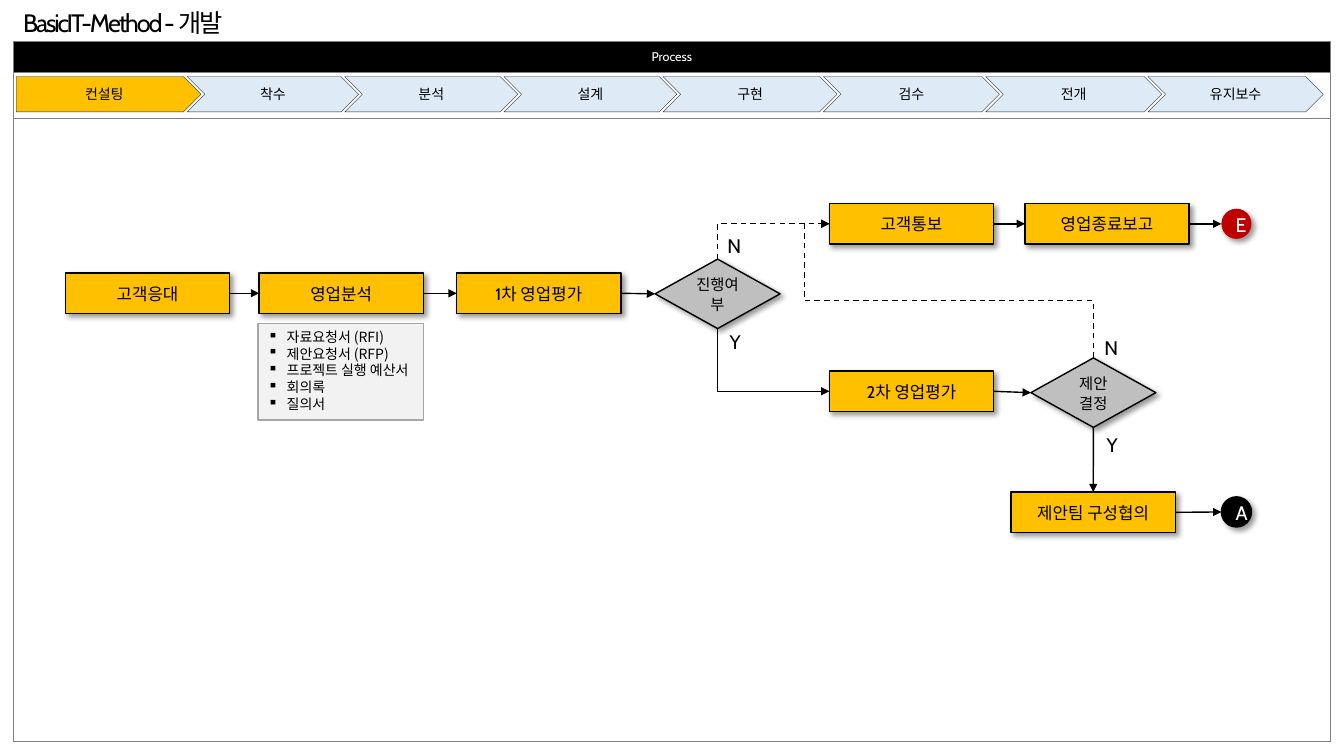
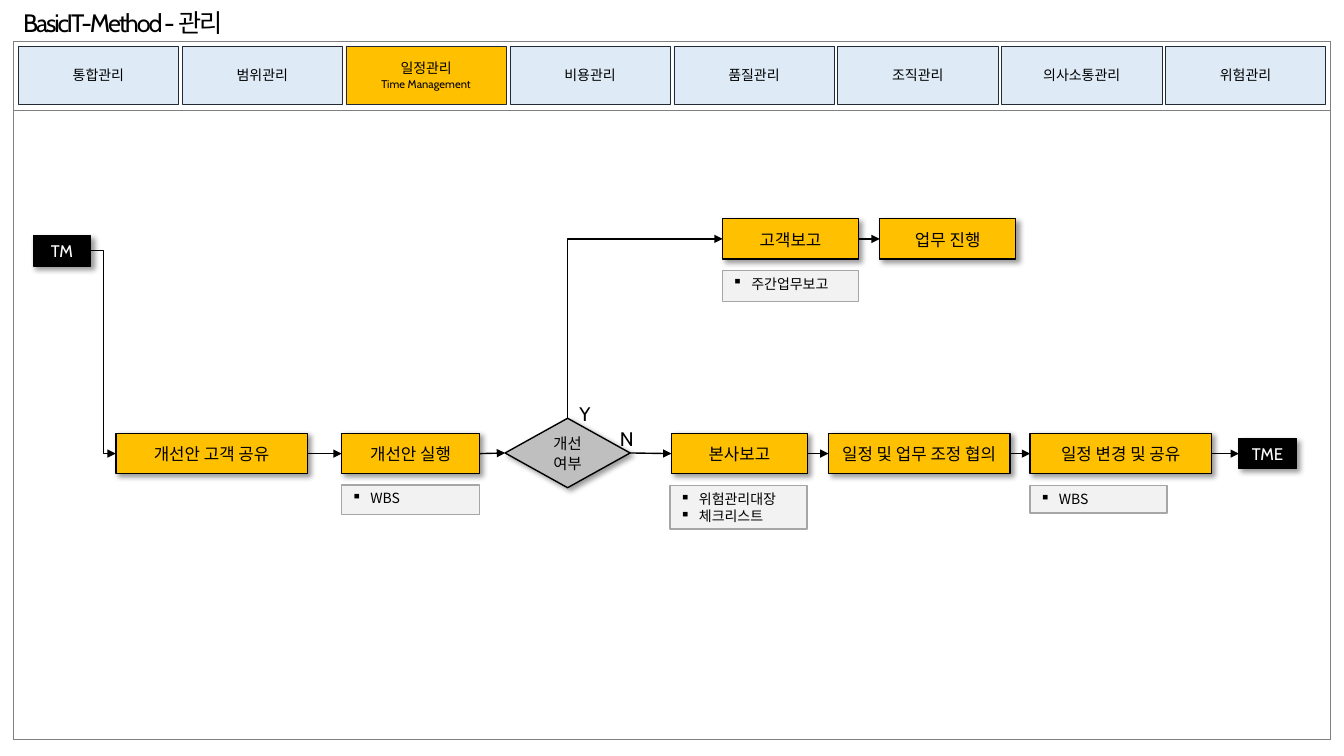
from lxml.etree import SubElement
from pptx import Presentation
from pptx.dml.color import RGBColor
from pptx.enum.dml import MSO_LINE
from pptx.enum.shapes import MSO_CONNECTOR, MSO_SHAPE
from pptx.enum.text import MSO_ANCHOR, MSO_AUTO_SIZE, PP_ALIGN
from pptx.oxml import parse_xml
from pptx.oxml.ns import nsdecls, qn
from pptx.util import Cm, Pt

BLACK = RGBColor(0x00, 0x00, 0x00)
WHITE = RGBColor(0xFF, 0xFF, 0xFF)
GOLD = RGBColor(0xFF, 0xC0, 0x00)
BLUE = RGBColor(0xDE, 0xEB, 0xF7)
NAVY = RGBColor(0x22, 0x2A, 0x35)
SILVER = RGBColor(0xBF, 0xBF, 0xBF)
PALE = RGBColor(0xF2, 0xF2, 0xF2)
GRAY = RGBColor(0xA6, 0xA6, 0xA6)
RED = RGBColor(0xC0, 0x00, 0x00)

RECT, DIAMOND, OVAL = MSO_SHAPE.RECTANGLE, MSO_SHAPE.DIAMOND, MSO_SHAPE.OVAL
PLATE, CHEVRON = MSO_SHAPE.PENTAGON, MSO_SHAPE.CHEVRON
STRAIGHT, ELBOW = MSO_CONNECTOR.STRAIGHT, MSO_CONNECTOR.ELBOW
DASH = MSO_LINE.DASH
LEFT, CENTER = PP_ALIGN.LEFT, PP_ALIGN.CENTER
TOP, MIDDLE = MSO_ANCHOR.TOP, MSO_ANCHOR.MIDDLE
UP, WEST, DOWN, EAST = range(4)
LATIN, HANGUL = "Cabin", "Noto Sans CJK KR"


class Deck:
    """Holds the shared style and the slide being built."""

    def __init__(self):
        self.file = Presentation()
        self.file.slide_width, self.file.slide_height = Cm(33.87), Cm(19.05)

    def start(self, title, rows):
        self.slide = self.file.slides.add_slide(self.file.slide_layouts[5])
        self.shapes = self.slide.shapes
        self.frame(rows)
        head = self.shapes.title
        head.left, head.top, head.width, head.height = Cm(0.33), Cm(0.05), Cm(5.77), Cm(1.02)
        text = head.text_frame
        text.text = title
        text.word_wrap, text.auto_size = False, MSO_AUTO_SIZE.NONE
        self.style(text, 18, BLACK, LEFT)
        for run in text.paragraphs[0].runs:
            run._r.get_or_add_rPr().set("spc", "-150")

    def style(self, text, size, color, align=CENTER, anchor=MIDDLE, font=LATIN):
        text.vertical_anchor = anchor
        for para in text.paragraphs:
            para.alignment = align
            para.line_spacing = Pt(round(size * 1.25))
            for run in para.runs:
                run.font.name, run.font.size = font, Pt(size)
                run.font.color.rgb = color
                SubElement(run._r.get_or_add_rPr(), qn("a:ea"), typeface=HANGUL)

    def frame(self, rows):
        grid = self.shapes.add_table(
            len(rows), 1, Cm(0.33), Cm(1.04), Cm(33.2), Cm(sum(rows))).table
        grid.first_row = grid.horz_banding = False
        for row, height in zip(grid.rows, rows):
            row.height = Cm(height)
            cell = row.cells[0]
            cell.fill.background()
            props = cell._tc.get_or_add_tcPr()
            for spot, side in enumerate("LRTB"):
                props.insert(spot, parse_xml(
                    f'<a:ln{side} {nsdecls("a")} w="6350"><a:solidFill>'
                    f'<a:srgbClr val="808080"/></a:solidFill></a:ln{side}>'))
        return grid

    def band(self, text):
        grid = next(item.table for item in self.shapes if item.has_table)
        cell = grid.cell(0, 0)
        cell.fill.solid()
        cell.fill.fore_color.rgb = BLACK
        cell.text_frame.text = text
        cell.vertical_anchor = MIDDLE
        para = cell.text_frame.paragraphs[0]
        para.alignment = CENTER
        font = para.runs[0].font
        font.name, font.size, font.color.rgb = LATIN, Pt(9), WHITE

    def block(self, kind, text, x, y, w, h, fill, size, ink=BLACK, edge=BLACK, weight=1, shade=True):
        item = self.shapes.add_shape(kind, Cm(x), Cm(y), Cm(w), Cm(h))
        item.fill.solid()
        item.fill.fore_color.rgb = fill
        if edge is None:
            item.line.fill.background()
        else:
            item.line.color.rgb, item.line.width = edge, Pt(weight)
        item.shadow.inherit = False
        if shade:
            glow = SubElement(item._element.spPr.find(qn("a:effectLst")), qn("a:outerShdw"),
                              blurRad="50800", dist="38100", dir="2700000", algn="tl", rotWithShape="0")
            tint = SubElement(glow, qn("a:srgbClr"), val="000000")
            SubElement(tint, qn("a:alpha"), val="40000")
        item.text_frame.text = text
        self.style(item.text_frame, size, ink)
        return item

    def step(self, text, x, y, w=4.14):
        return self.block(RECT, text, x, y, w, 1.02, GOLD, 12)

    def choice(self, text, x, y):
        return self.block(DIAMOND, text, x, y, 3.15, 1.75, SILVER, 11)

    def dot(self, text, x, y, fill, edge):
        return self.block(OVAL, text, x, y, 0.76, 0.76, fill, 14, WHITE, edge)

    def port(self, text, x, y):
        return self.block(RECT, text, x, y, 1.45, 0.76, BLACK, 12, WHITE)

    def tab(self, kind, text, x, y, w, h, live):
        return self.block(kind, text, x, y, w, h, GOLD if live else BLUE, 10,
                          edge=NAVY, weight=0.25, shade=False)

    def notes(self, lines, x, y, w, h):
        item = self.block(RECT, "\n".join(lines), x, y, w, h, PALE, 10, edge=GRAY, shade=False)
        for para in item.text_frame.paragraphs:
            props = para._p.get_or_add_pPr()
            props.set("marL", "171450")
            props.set("indent", "-171450")
            SubElement(props, qn("a:buChar"), char="▪")
        self.style(item.text_frame, 10, BLACK, LEFT, TOP, HANGUL)

    def label(self, text, x, y):
        box = self.shapes.add_textbox(Cm(x), Cm(y), Cm(0.85), Cm(0.86)).text_frame
        box.text = text
        box.word_wrap = False
        self.style(box, 14, BLACK, LEFT, TOP)

    def site(self, item, side):
        across = {WEST: 0, EAST: item.width}.get(side, item.width // 2)
        along = {UP: 0, DOWN: item.height}.get(side, item.height // 2)
        return item.left + across, item.top + along

    def join(self, first, out, last, into, dash=False, kind=STRAIGHT):
        line = self.shapes.add_connector(kind, *self.site(first, out), *self.site(last, into))
        line.begin_connect(first, out)
        if last.auto_shape_type != OVAL:
            line.end_connect(last, into)
        line.line.color.rgb, line.line.width = BLACK, Pt(1)
        if dash:
            line.line.dash_style = DASH
        props = line._element.spPr
        SubElement(props.find(qn("a:ln")), qn("a:tailEnd"), type="triangle")
        SubElement(props, qn("a:effectLst"))
        return line

    def chain(self, *items):
        for first, last in zip(items, items[1:]):
            self.join(first, EAST, last, WEST)

    def turn(self, first, out, last, into, angle, flips, dash=False, bends=()):
        line = self.join(first, out, last, into, dash, ELBOW)
        (x1, y1), (x2, y2) = self.site(first, out), self.site(last, into)
        wide, high = abs(y2 - y1), abs(x2 - x1)
        props = line._element.spPr
        form = props.find(qn("a:xfrm"))
        for flip in ("flipH", "flipV"):
            form.set(flip, "1" if flip in flips else "0")
        form.set("rot", str(angle * 60000))
        line.left, line.top = (x1 + x2 - wide) // 2, (y1 + y2 - high) // 2
        line.width, line.height = wide, high
        shape = props.find(qn("a:prstGeom"))
        shape.set("prst", f"bentConnector{len(bends) + 2}")
        guides = shape.find(qn("a:avLst"))
        if guides is None:
            guides = SubElement(shape, qn("a:avLst"))
        for rank, bend in enumerate(bends, 1):
            SubElement(guides, qn("a:gd"), name=f"adj{rank}", fmla=f"val {bend}")


def build(deck):
    deck.start("BasicIT-Method - 개발", (0.79, 1.14, 15.7))
    deck.band("Process")
    phases = ("컨설팅", "착수", "분석", "설계", "구현", "검수", "전개", "유지보수")
    edges = (0.41, 4.72, 8.69, 12.7, 16.71, 20.75, 24.84, 28.93, 33)
    for rank, name in enumerate(phases):
        deck.tab(CHEVRON if rank else PLATE, name, edges[rank], 1.93,
                 edges[rank + 1] - edges[rank] + 0.35, 0.89, rank == 0)
    meet = deck.step("고객응대", 1.65, 6.88)
    study = deck.step("영업분석", 6.53, 6.88)
    rate = deck.step("1차 영업평가", 11.51, 6.88)
    go = deck.choice("진행여부", 16.51, 6.53)
    tell = deck.step("고객통보", 20.9, 5.13)
    close = deck.step("영업종료보고", 25.83, 5.13)
    end = deck.dot("E", 30.78, 5.26, RED, None)
    again = deck.step("2차 영업평가", 20.9, 9.35)
    offer = deck.choice("제안 결정", 25.98, 9.02)
    team = deck.step("제안팀 구성협의", 25.48, 12.4)
    next_dot = deck.dot("A", 30.78, 12.52, BLACK, BLACK)
    deck.chain(meet, study, rate, go)
    deck.chain(tell, close, end)
    deck.chain(again, offer)
    deck.chain(team, next_dot)
    deck.join(offer, DOWN, team, UP)
    deck.turn(go, UP, tell, WEST, 90, ("flipH", "flipV"), True)
    deck.turn(go, DOWN, again, WEST, 270, ("flipH",))
    deck.turn(offer, UP, tell, WEST, 270, ("flipV",), True, (42600, 109500))
    for text, x, y in (("Y", 18.14, 8.15), ("N", 18.08, 5.72), ("Y", 27.64, 10.74), ("N", 27.58, 8.31)):
        deck.label(text, x, y)
    deck.notes(("자료요청서 (RFI)", "제안요청서 (RFP)", "프로젝트 실행 예산서", "회의록", "질의서"),
               6.5, 8.15, 4.17, 2.44)

    deck.start("BasicIT-Method - 관리", (1.75, 15.85))
    fields = ("통합관리", "범위관리", "일정관리\nTime Management", "비용관리",
              "품질관리", "조직관리", "의사소통관리", "위험관리")
    for rank, name in enumerate(fields):
        tab = deck.tab(RECT, name, 0.46 + 4.13 * rank, 1.17, 4.04, 1.45, rank == 2)
        for para in tab.text_frame.paragraphs[1:]:
            para.line_spacing = Pt(10)
            para.runs[0].font.size = Pt(8)
    row = 10.92
    share = deck.step("개선안 고객 공유", 2.92, row, 4.83)
    act = deck.step("개선안 실행", 8.61, row, 3.48)
    check = deck.choice("개선\n여부", 12.73, 10.54)
    report = deck.step("본사보고", 16.92, row, 3.43)
    adjust = deck.step("일정 및 업무 조정 협의", 20.88, row, 4.57)
    change = deck.step("일정 변경 및 공유", 25.96, row, 4.57)
    brief = deck.step("고객보고", 18.21, 5.51, 3.43)
    work = deck.step("업무 진행", 22.17, 5.51, 3.43)
    enter = deck.port("TM", 0.84, 5.94)
    leave = deck.port("TME", 31.22, 11.05)
    deck.chain(share, act, check, report, adjust, change, leave)
    deck.chain(brief, work)
    deck.join(enter, EAST, share, WEST, kind=ELBOW)
    deck.turn(check, UP, brief, WEST, 90, ("flipH", "flipV"))
    deck.label("N", 15.37, 10.59)
    deck.label("Y", 14.35, 9.96)
    deck.notes(("WBS",), 8.61, 12.22, 3.48, 0.74)
    deck.notes(("위험관리대장", "체크리스트"), 16.89, 12.24, 3.45, 1.09)
    deck.notes(("WBS",), 25.96, 12.24, 3.45, 0.69)
    deck.notes(("주간업무보고",), 18.21, 6.81, 3.43, 0.79)


def main():
    deck = Deck()
    build(deck)
    deck.file.save("out.pptx")


if __name__ == "__main__":
    main()
